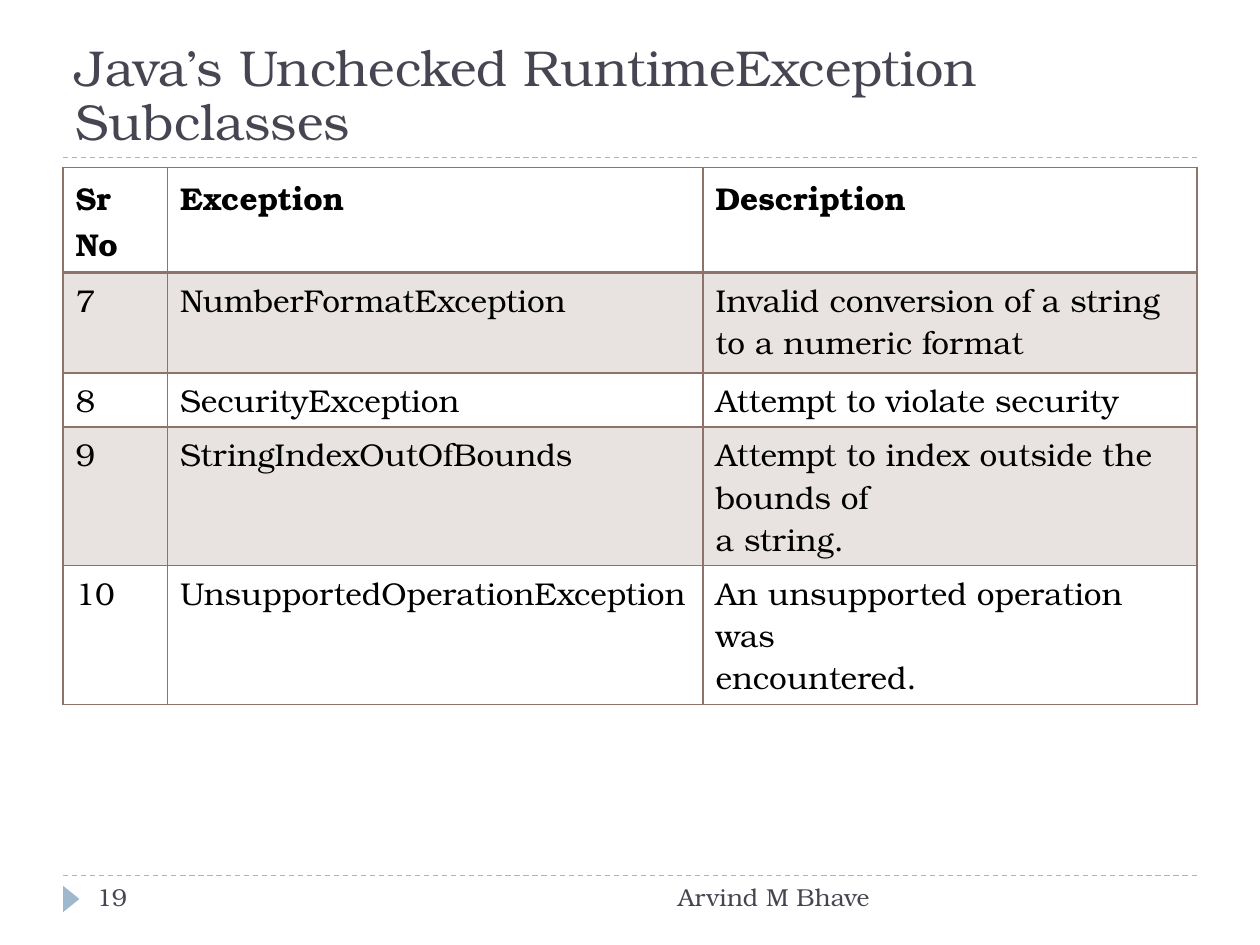
from dataclasses import dataclass

from lxml.etree import SubElement
from pptx import Presentation
from pptx.dml.color import RGBColor
from pptx.enum.dml import MSO_LINE
from pptx.enum.shapes import MSO_CONNECTOR, MSO_SHAPE
from pptx.enum.text import MSO_ANCHOR, PP_ALIGN
from pptx.oxml import parse_xml
from pptx.oxml.ns import nsdecls, qn
from pptx.util import Inches, Pt


@dataclass(frozen=True)
class Theme:
    font: str = "TeX Gyre Bonum"
    heading: str = "464653"
    accent: str = "9FB8CD"
    grid: str = "8E736A"
    body: str = "000000"
    title_size: float = 28.8
    table_size: float = 18
    footer_size: float = 14
    band_alpha: int = 20


class SlideBuilder:
    def __init__(self, slide, theme):
        self.slide = slide
        self.theme = theme

    def fill_text(self, frame, text, size, color, bold=False, **paragraph_format):
        for index, line in enumerate(text.split("\n")):
            para = frame.add_paragraph() if index else frame.paragraphs[0]
            for name, value in paragraph_format.items():
                setattr(para, name, value)
            span = para.add_run()
            span.text = line
            values = {"name": self.theme.font, "size": Pt(size), "bold": bold}
            for name, value in values.items():
                setattr(span.font, name, value)
            span.font.color.rgb = RGBColor.from_string(color)

    def text(self, place, text, size, anchor=MSO_ANCHOR.TOP, **paragraph_format):
        box = self.slide.shapes.add_textbox(*map(Inches, place))
        for name, value in {"word_wrap": True, "vertical_anchor": anchor}.items():
            setattr(box.text_frame, name, value)
        self.fill_text(box.text_frame, text, size, self.theme.heading,
                       **paragraph_format)

    def rule(self, left, right, top):
        ends = map(Inches, (left, top, right, top))
        line = self.slide.shapes.add_connector(MSO_CONNECTOR.STRAIGHT, *ends)
        line.line.color.rgb = RGBColor.from_string(self.theme.accent)
        line.line.width = Pt(0.75)
        line.line.dash_style = MSO_LINE.DASH
        SubElement(line._element.spPr, qn("a:effectLst"))

    def marker(self, place, rotation):
        shape = self.slide.shapes.add_shape(
            MSO_SHAPE.ISOSCELES_TRIANGLE, *map(Inches, place))
        shape.rotation = rotation
        shape.shadow.inherit = False
        shape.fill.solid()
        shape.fill.fore_color.rgb = RGBColor.from_string(self.theme.accent)
        shape.line.fill.background()

    def borders(self, cell, widths):
        for index, (side, width) in enumerate(widths.items()):
            border = parse_xml(
                f'<a:ln{side} {nsdecls("a")} w="{Pt(width)}"><a:solidFill>'
                f'<a:srgbClr val="{self.theme.grid}"/></a:solidFill></a:ln{side}>')
            cell._tc.get_or_add_tcPr().insert(index, border)

    def shade(self, cell):
        cell.fill.solid()
        cell.fill.fore_color.rgb = RGBColor.from_string(self.theme.grid)
        color = cell._tc.tcPr.find(".//" + qn("a:srgbClr"))
        SubElement(color, qn("a:alpha"), val=str(self.theme.band_alpha * 1000))

    def table(self, left, top, widths, heights, rows):
        place = map(Inches, (left, top, sum(widths), sum(heights)))
        table = self.slide.shapes.add_table(len(rows), len(widths), *place).table
        for name in ("first_row", "horz_banding"):
            setattr(table, name, False)
        for column, width in zip(table.columns, widths):
            column.width = Inches(width)
        for row_index, (row, height, texts) in enumerate(zip(table.rows, heights, rows)):
            row.height = Inches(height)
            header = row_index == 0
            for cell, text in zip(row.cells, texts):
                if row_index % 2:
                    self.shade(cell)
                else:
                    cell.fill.background()
                self.borders(cell, {"L": 1, "R": 1,
                                    "T": 2 if row_index == 1 else 1,
                                    "B": 2 if header else 1})
                self.fill_text(cell.text_frame, text, self.theme.table_size,
                               self.theme.body, bold=header)


EXCEPTIONS = [
    ("Sr No", "Exception", "Description"),
    ("7", "NumberFormatException",
     "Invalid conversion of a string to a numeric format"),
    ("8", "SecurityException", "Attempt to violate security"),
    ("9", "StringIndexOutOfBounds",
     "Attempt to index outside the bounds of\na string."),
    ("10", "UnsupportedOperationException",
     "An unsupported operation was\nencountered."),
]

deck = Presentation()
deck.slide_width, deck.slide_height = Inches(10), Inches(7.5)
theme = Theme()
page = SlideBuilder(deck.slides.add_slide(deck.slide_layouts[6]), theme)

for rule_top in (6.95, 1.25):
    page.rule(0.5, 9.5, rule_top)
page.marker((0.46, 7.07, 0.21, 0.13), 90)
page.text((0.5, 0.17, 9, 1.08), "Java’s Unchecked RuntimeException Subclasses",
          theme.title_size, MSO_ANCHOR.BOTTOM, line_spacing=0.9)
page.text((3.17, 6.95, 3.83, 0.4), "Arvind M Bhave", theme.footer_size,
          alignment=PP_ALIGN.RIGHT)
page.text((0.67, 6.95, 2.17, 0.4), "19", theme.footer_size)
page.table(0.5, 1.33, (0.83, 4.25, 3.92), (0.83, 0.8, 0.43, 1.1, 1.1), EXCEPTIONS)

deck.save("out.pptx")
